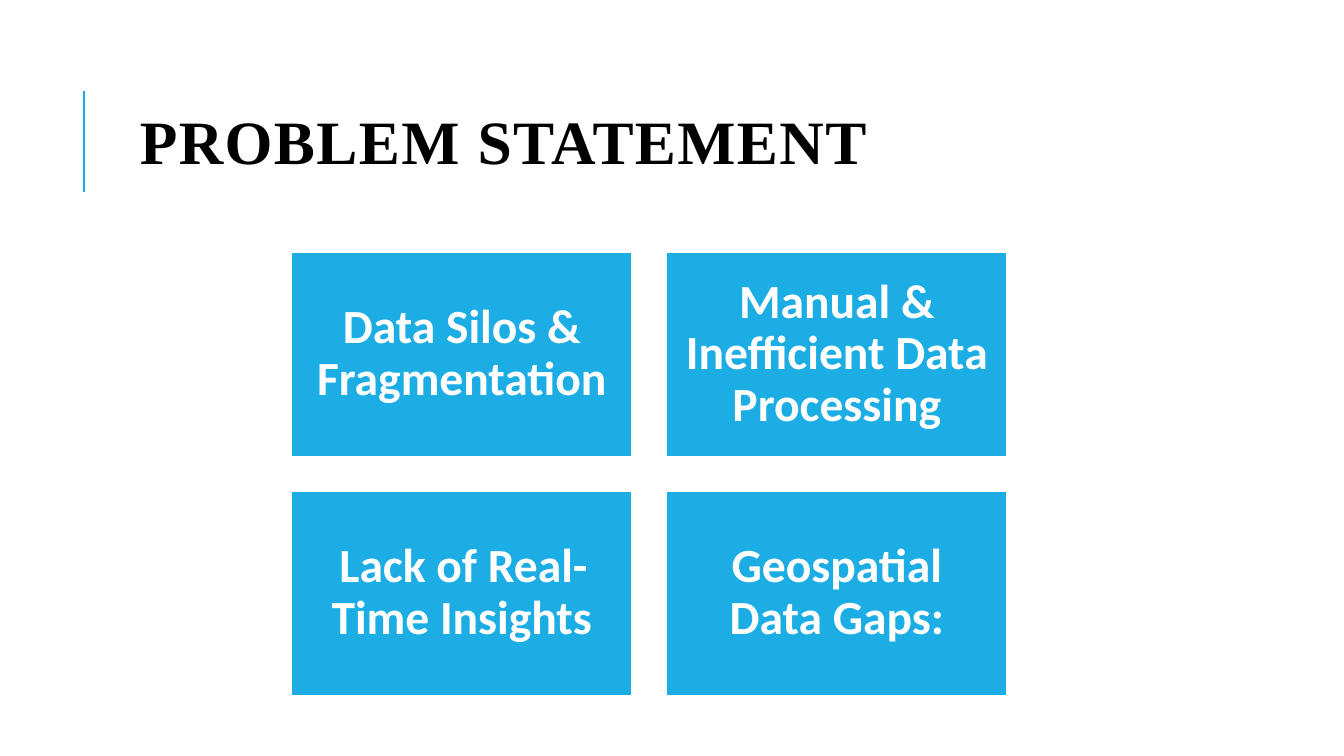
from pptx import Presentation
from pptx.dml.color import RGBColor
from pptx.enum import shapes, text
from pptx.oxml.ns import qn
from pptx.util import Inches, Pt

BLUE = RGBColor(0x1C, 0xAD, 0xE4)
WHITE = RGBColor(0xFF, 0xFF, 0xFF)
BLACK = RGBColor(0, 0, 0)

ISSUES = [
    "Data Silos & Fragmentation",
    "Manual & Inefficient Data Processing",
    "Lack of Real-Time Insights",
    "Geospatial Data Gaps:",
]
COLS = 2
LEFT, TOP = 2.89, 2.5
WIDTH, HEIGHT = 3.38, 2.03
GAP = 0.34


def add_run(para, words, size, face, color):
    run = para.add_run()
    run.text = words
    font = run.font
    font.size, font.name, font.bold = Pt(size), face, True
    font.color.rgb = color
    return run


def add_title(slide, words):
    title = slide.shapes.title
    title.left, title.top = Inches(1.12), Inches(0.64)
    title.width, title.height = Inches(10.63), Inches(1.64)
    frame = title.text_frame
    frame.word_wrap = True
    frame.auto_size = text.MSO_AUTO_SIZE.NONE
    frame.vertical_anchor = text.MSO_ANCHOR.MIDDLE
    para = frame.paragraphs[0]
    para.alignment = text.PP_ALIGN.LEFT
    para.line_spacing = 0.8
    run = add_run(para, words, 44, "Times New Roman", BLACK)
    run.font._element.set("spc", "100")


def add_rule(slide, x, top, bottom):
    rule = slide.shapes.add_connector(
        shapes.MSO_CONNECTOR.STRAIGHT,
        Inches(x), Inches(bottom), Inches(x), Inches(top))
    rule.line.color.rgb = BLUE
    rule.line.width = Pt(1.5)
    props = rule._element.spPr
    props.append(props.makeelement(qn("a:effectLst"), {}))


def add_card(slide, left, top, words):
    card = slide.shapes.add_shape(
        shapes.MSO_SHAPE.RECTANGLE,
        Inches(left), Inches(top), Inches(WIDTH), Inches(HEIGHT))
    card.shadow.inherit = False
    card.fill.solid()
    card.fill.fore_color.rgb = BLUE
    card.line.color.rgb = WHITE
    card.line.width = Pt(1.25)
    frame = card.text_frame
    frame.word_wrap = True
    frame.vertical_anchor = text.MSO_ANCHOR.MIDDLE
    frame.margin_left = frame.margin_right = Inches(0.14)
    frame.margin_top = frame.margin_bottom = Inches(0.14)
    para = frame.paragraphs[0]
    para.alignment = text.PP_ALIGN.CENTER
    para.line_spacing = 0.9
    add_run(para, words, 34, "Calibri", WHITE)


def main():
    deck = Presentation()
    deck.slide_width, deck.slide_height = Inches(13.33), Inches(7.5)
    slide = deck.slides.add_slide(deck.slide_layouts[5])
    add_rule(slide, 0.83, 0.9, 1.9)
    add_title(slide, " PROBLEM STATEMENT")
    for i, issue in enumerate(ISSUES):
        row, col = divmod(i, COLS)
        add_card(slide, LEFT + col * (WIDTH + GAP),
                 TOP + row * (HEIGHT + GAP), issue)
    deck.save("out.pptx")


if __name__ == "__main__":
    main()
